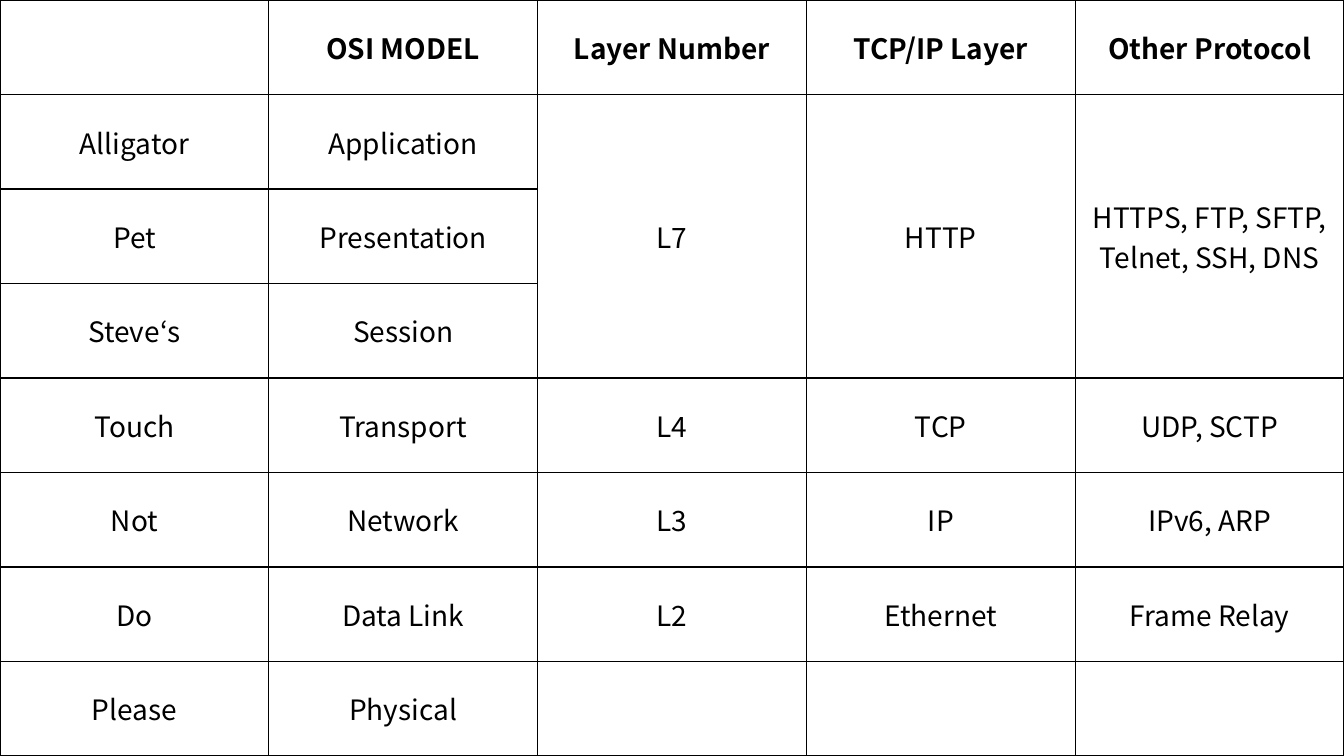
from typing import NamedTuple

from lxml.etree import SubElement
from pptx import Presentation
from pptx.dml.color import RGBColor
from pptx.enum.text import MSO_ANCHOR as Anchor, PP_ALIGN as Align
from pptx.oxml.ns import qn
from pptx.table import _Cell as Cell, Table
from pptx.util import Cm, Pt

BLACK = RGBColor(0x00, 0x00, 0x00)
WHITE = RGBColor(0xFF, 0xFF, 0xFF)
FONT = "Noto Sans CJK KR"
TEXT_SIZE = Pt(20)
BORDER_WIDTH = Pt(1)
SLIDE_W, SLIDE_H = Cm(33.87), Cm(19.05)


class Layer(NamedTuple):
    mnemonic: str
    osi: str
    number: str = ""
    tcp_ip: str = ""
    other: str = ""


HEADER = Layer("", "OSI MODEL", "Layer Number", "TCP/IP Layer", "Other Protocol")
LAYERS = [
    Layer("Alligator", "Application", "L7", "HTTP", "HTTPS, FTP, SFTP, Telnet, SSH, DNS"),
    Layer("Pet", "Presentation"),
    Layer("Steve‘s", "Session"),
    Layer("Touch", "Transport", "L4", "TCP", "UDP, SCTP"),
    Layer("Not", "Network", "L3", "IP", "IPv6, ARP"),
    Layer("Do", "Data Link", "L2", "Ethernet", "Frame Relay"),
    Layer("Please", "Physical"),
]
# The top three OSI layers share one cell in each of these columns.
SHARED_FIELDS = ("number", "tcp_ip", "other")
SHARED_FIRST, SHARED_LAST = 1, 3


def style_cell(cell: Cell) -> None:
    """Give the cell black borders on all sides and a white fill."""
    tc_pr = cell._tc.get_or_add_tcPr()
    for side in ("lnL", "lnR", "lnT", "lnB"):
        ln = SubElement(tc_pr, qn(f"a:{side}"), w=str(BORDER_WIDTH))
        fill = SubElement(ln, qn("a:solidFill"))
        SubElement(fill, qn("a:srgbClr"), val=str(BLACK))
    cell.fill.solid()
    cell.fill.fore_color.rgb = WHITE
    cell.vertical_anchor = Anchor.MIDDLE


def write_cell(cell: Cell, text: str, bold: bool) -> None:
    p = cell.text_frame.paragraphs[0]
    p.alignment = Align.CENTER
    r = p.add_run()
    r.text = text
    r.font.size = TEXT_SIZE
    r.font.bold = bold
    r.font.color.rgb = BLACK
    r.font.name = FONT
    SubElement(r._r.get_or_add_rPr(), qn("a:ea"), typeface=FONT)


def fill_table(table: Table, rows: list[Layer]) -> None:
    for i, layer in enumerate(rows):
        for j, text in enumerate(layer):
            cell = table.cell(i, j)
            style_cell(cell)
            if text:
                write_cell(cell, text, bold=i == 0)
    for field in SHARED_FIELDS:
        j = Layer._fields.index(field)
        table.cell(SHARED_FIRST, j).merge(table.cell(SHARED_LAST, j))


def main() -> None:
    prs = Presentation()
    prs.slide_width, prs.slide_height = SLIDE_W, SLIDE_H
    slide = prs.slides.add_slide(prs.slide_layouts[6])

    rows = [HEADER, *LAYERS]
    frame = slide.shapes.add_table(
        len(rows), len(Layer._fields), Cm(0), Cm(0), SLIDE_W, SLIDE_H
    )
    table = frame.table
    table.first_row = False
    table.horz_banding = False
    fill_table(table, rows)

    prs.save("out.pptx")


if __name__ == "__main__":
    main()
